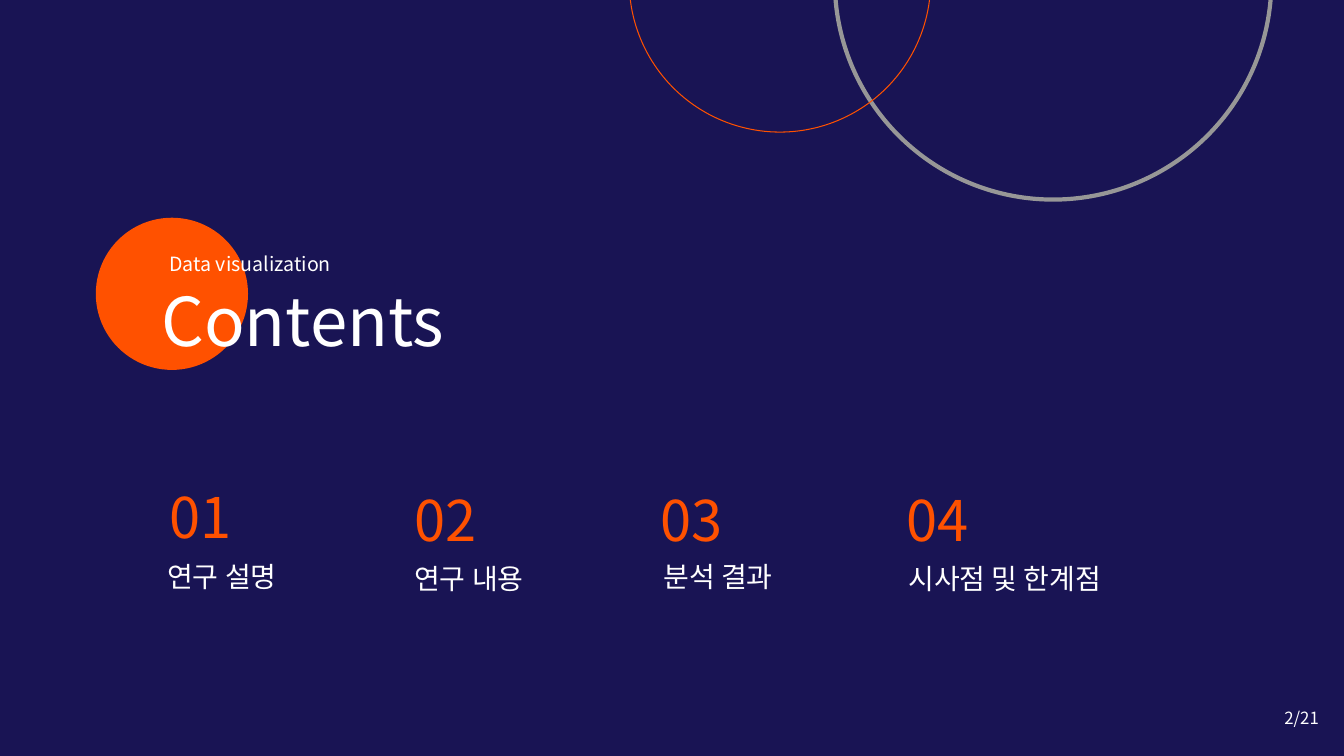
from dataclasses import dataclass

from lxml import etree
from pptx import Presentation
from pptx import util as u
from pptx.dml.color import RGBColor
from pptx.enum import shapes, text
from pptx.oxml import ns


@dataclass(frozen=True)
class Theme:
    font: str = "Noto Sans CJK KR"
    navy: str = "191454"
    orange: str = "FF5100"
    grey: str = "979797"
    white: str = "FFFFFF"
    title: int = 48
    number: int = 40
    chapter: int = 20
    subtitle: int = 14
    page: int = 12


@dataclass(frozen=True)
class Box:
    left: float
    top: float
    width: float
    height: float

    def inches(self) -> tuple:
        return tuple(u.Inches(v) for v in (self.left, self.top, self.width, self.height))


@dataclass(frozen=True)
class Ring:
    left: float
    top: float
    diameter: float
    color: str
    weight: float


@dataclass(frozen=True)
class Chapter:
    title: str
    number_left: float
    number_top: float
    title_left: float
    title_top: float


THEME = Theme()
SLIDE = Box(0, 0, 13.33, 7.5)
RINGS = (
    Ring(8.28, -2.35, 4.33, THEME.grey, 3),
    Ring(6.24, -1.68, 2.99, THEME.orange, 0.75),
)
CHAPTERS = (
    Chapter("연구 설명", 1.58, 4.74, 1.56, 5.5),
    Chapter("연구 내용", 4.01, 4.77, 4.01, 5.52),
    Chapter("분석 결과", 6.45, 4.77, 6.48, 5.5),
    Chapter("시사점 및 한계점", 8.89, 4.77, 8.91, 5.52),
)


def add_solid(slide, kind: shapes.MSO_SHAPE, box: Box, color: str) -> None:
    solid = slide.shapes.add_shape(kind, *box.inches())
    solid.shadow.inherit = False
    solid.fill.solid()
    solid.fill.fore_color.rgb = RGBColor.from_string(color)
    solid.line.fill.background()


def add_ring(slide, ring: Ring) -> None:
    box = Box(ring.left, ring.top, ring.diameter, ring.diameter)
    outline = slide.shapes.add_shape(shapes.MSO_SHAPE.OVAL, *box.inches())
    outline.shadow.inherit = False
    outline.fill.background()
    outline.line.color.rgb = RGBColor.from_string(ring.color)
    outline.line.width = u.Pt(ring.weight)


def add_label(slide, wording: str, box: Box, size: int, color: str = THEME.white) -> None:
    frame = slide.shapes.add_textbox(*box.inches()).text_frame
    frame.word_wrap = True
    frame.auto_size = text.MSO_AUTO_SIZE.SHAPE_TO_FIT_TEXT
    paragraph = frame.paragraphs[0]
    paragraph.text = wording
    font = paragraph.font
    font.name = THEME.font
    font.size = u.Pt(size)
    font.color.rgb = RGBColor.from_string(color)
    # Hangul takes its typeface from the East Asian font
    defaults = paragraph._p.pPr.find(ns.qn("a:defRPr"))
    east_asian = etree.Element(ns.qn("a:ea"), typeface=THEME.font)
    defaults.find(ns.qn("a:latin")).addnext(east_asian)


def main() -> None:
    deck = Presentation()
    deck.slide_width = u.Inches(SLIDE.width)
    deck.slide_height = u.Inches(SLIDE.height)
    slide = deck.slides.add_slide(deck.slide_layouts[6])

    # Backdrop and decorative circles
    add_solid(slide, shapes.MSO_SHAPE.RECTANGLE, SLIDE, THEME.navy)
    add_solid(slide, shapes.MSO_SHAPE.OVAL, Box(0.95, 2.16, 1.51, 1.51), THEME.orange)
    for ring in RINGS:
        add_ring(slide, ring)

    # Heading
    add_label(slide, "Contents", Box(1.5, 2.72, 4.72, 0.91), THEME.title)
    add_label(slide, "Data visualization", Box(1.58, 2.45, 4.33, 0.34), THEME.subtitle)

    # Numbered chapters
    for number, chapter in enumerate(CHAPTERS, start=1):
        add_label(slide, f"{number:02d}", Box(chapter.number_left, chapter.number_top, 0.96, 0.77),
                  THEME.number, THEME.orange)
        add_label(slide, chapter.title, Box(chapter.title_left, chapter.title_top, 2.46, 0.44),
                  THEME.chapter)

    # Page number
    add_label(slide, "2/21", Box(12.64, 6.97, 0.79, 0.3), THEME.page)

    deck.save("out.pptx")


if __name__ == "__main__":
    main()
